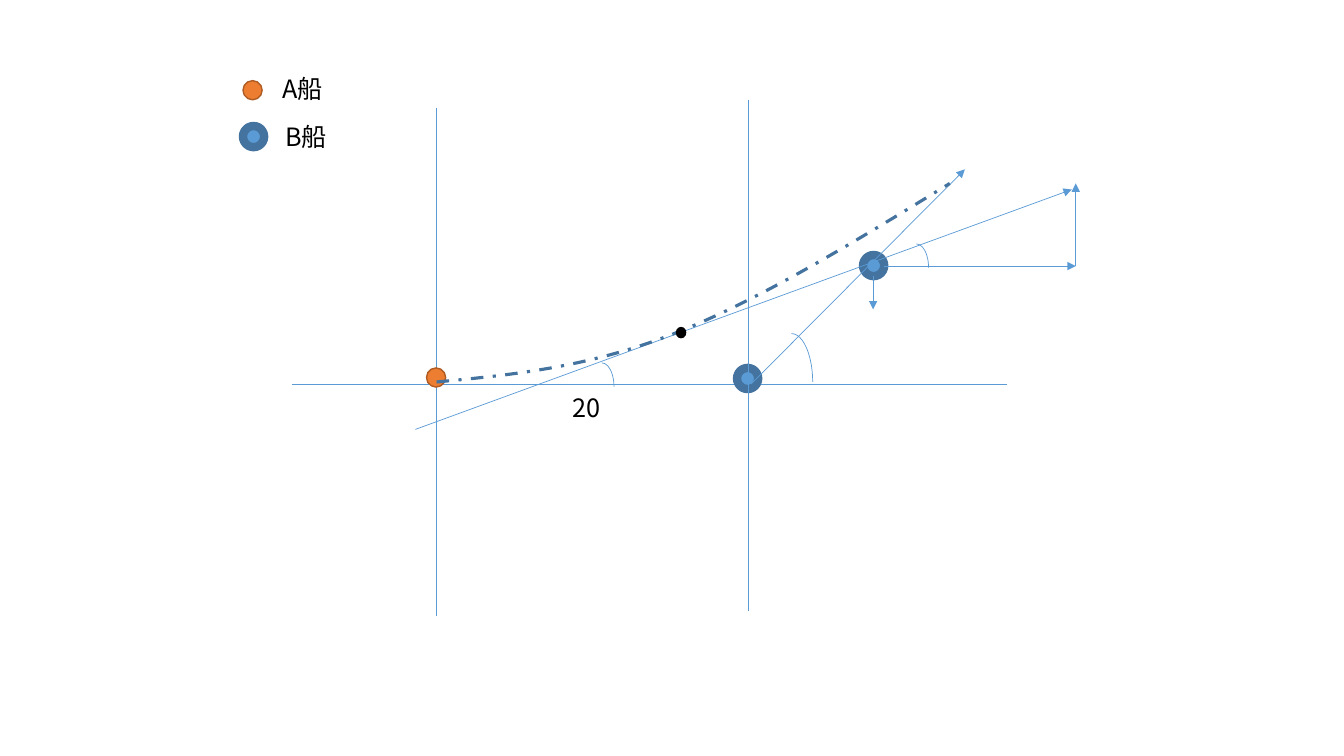
"""Draw the course diagram of ships A and B."""
from dataclasses import dataclass

from lxml.etree import SubElement
from pptx import Presentation
from pptx.dml.color import RGBColor
from pptx.enum.dml import MSO_LINE
from pptx.enum.shapes import MSO_CONNECTOR, MSO_SHAPE
from pptx.oxml.ns import qn
from pptx.slide import Slide
from pptx.util import Inches, Pt

COLORS = {
    "blue": "5B9BD5",
    "dark_blue": "43739E",
    "orange": "ED7D31",
    "dark_orange": "AF5C24",
    "black": "000000",
}
FONT = "Noto Sans CJK SC"


@dataclass(frozen=True)
class Line:
    start: tuple[float, float]
    end: tuple[float, float]
    arrow: bool = False


@dataclass(frozen=True)
class Style:
    width: float
    height: float
    fill: str
    outline: str
    outline_points: float


@dataclass(frozen=True)
class Marker:
    left: float
    top: float
    style: Style


@dataclass(frozen=True)
class Arc:
    left: float
    top: float
    width: float
    height: float


@dataclass(frozen=True)
class Label:
    text: str
    left: float
    top: float
    width: float


SHIP_A = Style(0.19, 0.19, "orange", "dark_orange", 1)
SHIP_B = Style(0.21, 0.21, "blue", "dark_blue", 6)
POINT = Style(0.09, 0.1, "black", "black", 1)

BASE_AXES = [
    Line((2.9, 3.81), (9.99, 3.81)),
    Line((4.33, 6.11), (4.33, 1.07)),
]
SHIPS = [
    Marker(4.23, 3.65, SHIP_A),
    Marker(7.31, 3.65, SHIP_B),
    Marker(2.41, 0.8, SHIP_A),
    Marker(2.41, 1.25, SHIP_B),
    Marker(8.56, 2.53, SHIP_B),
]
COURSE_LINES = [
    Line((7.42, 6.06), (7.42, 0.99)),
    Line((4.12, 4.26), (10.63, 1.88), True),
    Line((8.77, 2.64), (10.67, 2.64), True),
    Line((10.67, 2.64), (10.67, 1.82), True),
    Line((7.45, 3.81), (9.57, 1.68), True),
    Line((8.66, 2.74), (8.66, 3.07), True),
]
ANGLES = [
    Arc(8.97, 2.42, 0.24, 0.47),
    Arc(7.64, 3.31, 0.42, 0.96),
    Arc(5.85, 3.6, 0.24, 0.47),
]
LABELS = [
    Label("A船", 2.7, 0.68, 1.04),
    Label("B船", 2.73, 1.15, 1.04),
    Label("20", 5.58, 3.84, 0.71),
]
TRACK = [
    ((4.33, 3.79), (5.07, 3.72), (5.81, 3.65), (6.66, 3.32)),
    ((6.66, 3.32), (7.51, 2.99), (8.46, 2.41), (9.42, 1.82)),
]
TRACK_STEPS = 24


def color(name: str) -> RGBColor:
    return RGBColor.from_string(COLORS[name])


def draw_line(page: Slide, line: Line) -> None:
    connector = page.shapes.add_connector(
        MSO_CONNECTOR.STRAIGHT, *map(Inches, line.start + line.end)
    )
    connector.line.color.rgb = color("blue")
    connector.line.width = Pt(0.5)
    if line.arrow:
        SubElement(connector.line._get_or_add_ln(), qn("a:tailEnd"), type="triangle")
    SubElement(connector._element.spPr, qn("a:effectLst"))


def draw_marker(page: Slide, marker: Marker) -> None:
    style = marker.style
    bounds = (marker.left, marker.top, style.width, style.height)
    circle = page.shapes.add_shape(MSO_SHAPE.OVAL, *map(Inches, bounds))
    circle.shadow.inherit = False
    circle.fill.solid()
    circle.fill.fore_color.rgb = color(style.fill)
    circle.line.color.rgb = color(style.outline)
    circle.line.width = Pt(style.outline_points)


def draw_arc(page: Slide, arc: Arc) -> None:
    bounds = (arc.left, arc.top, arc.width, arc.height)
    shape = page.shapes.add_shape(MSO_SHAPE.ARC, *map(Inches, bounds))
    shape.shadow.inherit = False
    shape.fill.background()
    shape.line.color.rgb = color("blue")
    shape.line.width = Pt(0.5)


def draw_label(page: Slide, label: Label) -> None:
    bounds = (label.left, label.top, label.width, 0.4)
    box = page.shapes.add_textbox(*map(Inches, bounds))
    box.text_frame.word_wrap = True
    box.text_frame.text = label.text
    span = box.text_frame.paragraphs[0].runs[0]
    span.font.size = Pt(18)
    span.font.name = FONT
    span.font.color.rgb = color("black")
    SubElement(span.font._element, qn("a:ea"), typeface=FONT)


def curve_point(controls: tuple, position: float) -> tuple[float, float]:
    rest = 1 - position
    weights = (rest**3, 3 * rest**2 * position, 3 * rest * position**2, position**3)
    x, y = (sum(w * v for w, v in zip(weights, axis)) for axis in zip(*controls))
    return x, y


def draw_track(page: Slide) -> None:
    points = [
        tuple(map(Inches, curve_point(controls, step / TRACK_STEPS)))
        for controls in TRACK
        for step in range(1, TRACK_STEPS + 1)
    ]
    builder = page.shapes.build_freeform(*map(Inches, TRACK[0][0]))
    builder.add_line_segments(points, close=False)
    track = builder.convert_to_shape()
    track.shadow.inherit = False
    track.fill.background()
    track.line.color.rgb = color("dark_blue")
    track.line.width = Pt(2.25)
    track.line.dash_style = MSO_LINE.DASH_DOT


def main() -> None:
    deck = Presentation()
    deck.slide_width, deck.slide_height = Inches(13.33), Inches(7.5)
    page = deck.slides.add_slide(deck.slide_layouts[6])
    for axis in BASE_AXES:
        draw_line(page, axis)
    for ship in SHIPS:
        draw_marker(page, ship)
    for line in COURSE_LINES:
        draw_line(page, line)
    for angle in ANGLES:
        draw_arc(page, angle)
    for label in LABELS:
        draw_label(page, label)
    draw_track(page)
    draw_marker(page, Marker(6.71, 3.25, POINT))
    deck.save("out.pptx")


if __name__ == "__main__":
    main()
